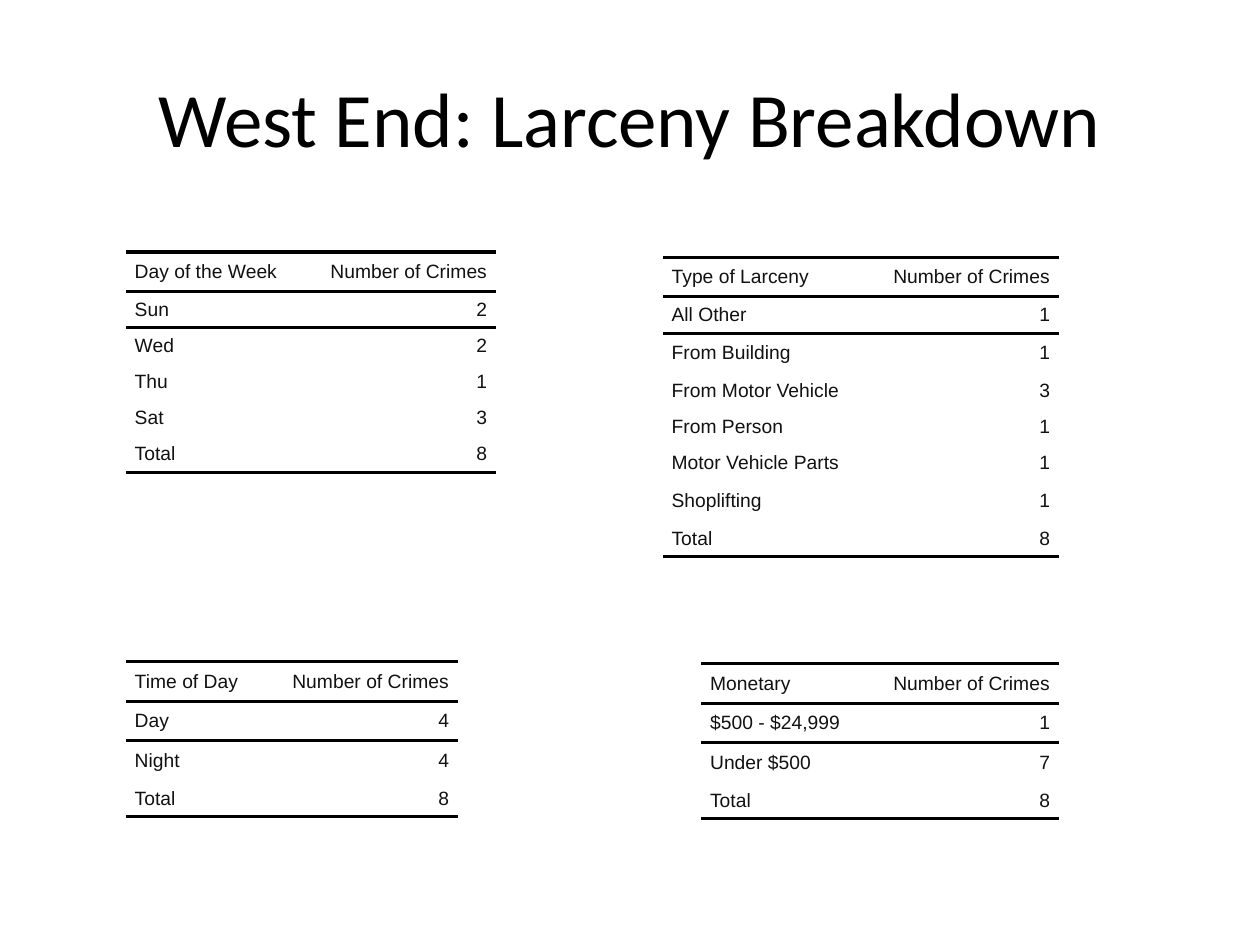
"""Build the West End larceny breakdown slide with its four summary tables."""
import lxml.etree
import pptx
import pptx.dml.color
import pptx.enum.text
import pptx.oxml.ns
import pptx.util

Pt = pptx.util.Pt
qn = pptx.oxml.ns.qn
ALIGN = pptx.enum.text.PP_ALIGN
MIDDLE = pptx.enum.text.MSO_ANCHOR.MIDDLE

TITLE = "West End: Larceny Breakdown"
COUNT_HEADING = "Number of Crimes"
COLORS = {"title": "000000", "rule": "000000", "text": "111111"}
NO_STYLE = "{2D5ABB26-0587-4C30-8999-92F81FD0307C}"
COUNT_WIDTH = 109.6
TALL, SHORT = 22.7, 20.65
SIDE_MARGIN = Pt(5)

TABLES = [
    {"heading": "Day of the Week", "left": 72, "top": 144, "label_width": 101.8,
     "rows": [("Sun", 2), ("Wed", 2), ("Thu", 1), ("Sat", 3), ("Total", 8)],
     "tall_rows": {0}},
    {"heading": "Time of Day", "left": 72, "top": 378, "label_width": 80,
     "rows": [("Day", 4), ("Night", 4), ("Total", 8)],
     "tall_rows": {0, 1, 2}},
    {"heading": "Type of Larceny", "left": 378.8, "top": 147, "label_width": 116.6,
     "rows": [("All Other", 1), ("From Building", 1), ("From Motor Vehicle", 3),
              ("From Person", 1), ("Motor Vehicle Parts", 1), ("Shoplifting", 1),
              ("Total", 8)],
     "tall_rows": {0, 2, 6}},
    {"heading": "Monetary", "left": 400.8, "top": 379.2, "label_width": 94.6,
     "rows": [("$500 - $24,999", 1), ("Under $500", 7), ("Total", 8)],
     "tall_rows": {0, 1, 2}},
]


def style_font(font, name, size, color):
    font.name = name
    font.size = Pt(size)
    font.color.rgb = pptx.dml.color.RGBColor.from_string(COLORS[color])


def add_title(slide):
    box = slide.shapes.add_textbox(Pt(36), Pt(21.6), Pt(648), Pt(90))
    frame = box.text_frame
    frame.word_wrap = True
    frame.vertical_anchor = MIDDLE
    frame.text = TITLE
    para = frame.paragraphs[0]
    para.alignment = ALIGN.CENTER
    style_font(para.runs[0].font, "Calibri", 44, "title")


def add_rule(cell, side):
    properties = cell._tc.get_or_add_tcPr()
    line = lxml.etree.SubElement(properties, qn(f"a:{side}"), w=str(Pt(2)))
    fill = lxml.etree.SubElement(line, qn("a:solidFill"))
    lxml.etree.SubElement(fill, qn("a:srgbClr"), val=COLORS["rule"])


def fill_cell(cell, text, alignment, rules):
    cell.margin_left = cell.margin_right = cell.margin_top = cell.margin_bottom = 0
    cell.vertical_anchor = MIDDLE
    for side in rules:
        add_rule(cell, side)
    cell.fill.background()
    cell.text_frame.text = text
    para = cell.text_frame.paragraphs[0]
    para.alignment = alignment
    para.space_before = para.space_after = Pt(2)
    properties = para._p.get_or_add_pPr()
    properties.set("marL", str(SIDE_MARGIN))
    properties.set("marR", str(SIDE_MARGIN))
    properties.set("indent", "0")
    style_font(para.runs[0].font, "Arial", 11, "text")


def add_summary(slide, summary):
    rows = [(summary["heading"], COUNT_HEADING), *summary["rows"]]
    widths = [summary["label_width"], COUNT_WIDTH]
    heights = [TALL if i in summary["tall_rows"] else SHORT for i in range(len(rows))]
    frame = slide.shapes.add_table(
        len(rows), len(widths), Pt(summary["left"]), Pt(summary["top"]),
        Pt(sum(widths)), Pt(sum(heights)))
    table = frame.table
    table.first_row = table.horz_banding = False
    table._tbl.tblPr.find(qn("a:tableStyleId")).text = NO_STYLE
    for column, width in zip(table.columns, widths):
        column.width = Pt(width)
    rules = {0: ["lnT", "lnB"], 1: ["lnT"], len(rows) - 1: ["lnB"]}
    for i, (values, height) in enumerate(zip(rows, heights)):
        table.rows[i].height = Pt(height)
        for j, alignment in enumerate((ALIGN.LEFT, ALIGN.RIGHT)):
            fill_cell(table.cell(i, j), str(values[j]), alignment, rules.get(i, []))


def main():
    deck = pptx.Presentation()
    deck.slide_width, deck.slide_height = Pt(720), Pt(540)
    slide = deck.slides.add_slide(deck.slide_layouts[6])
    add_title(slide)
    for summary in TABLES:
        add_summary(slide, summary)
    deck.save("out.pptx")


if __name__ == "__main__":
    main()
